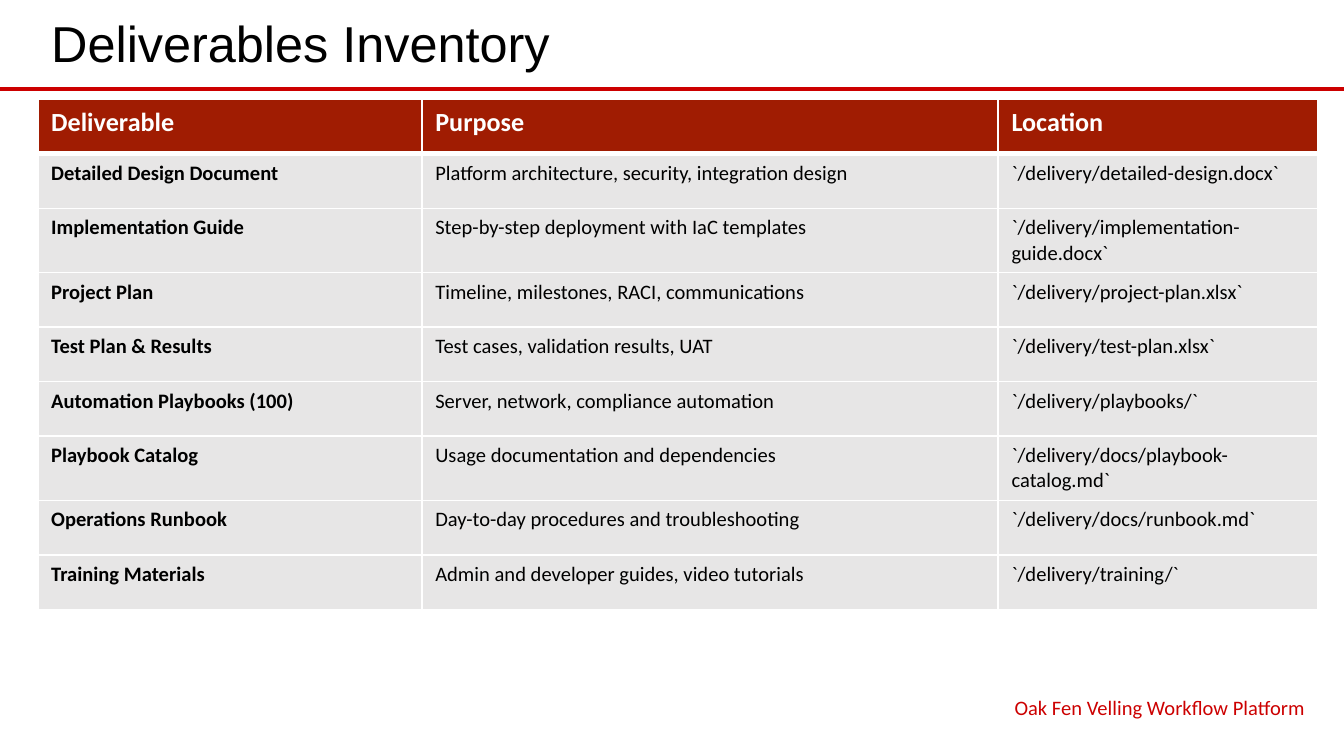
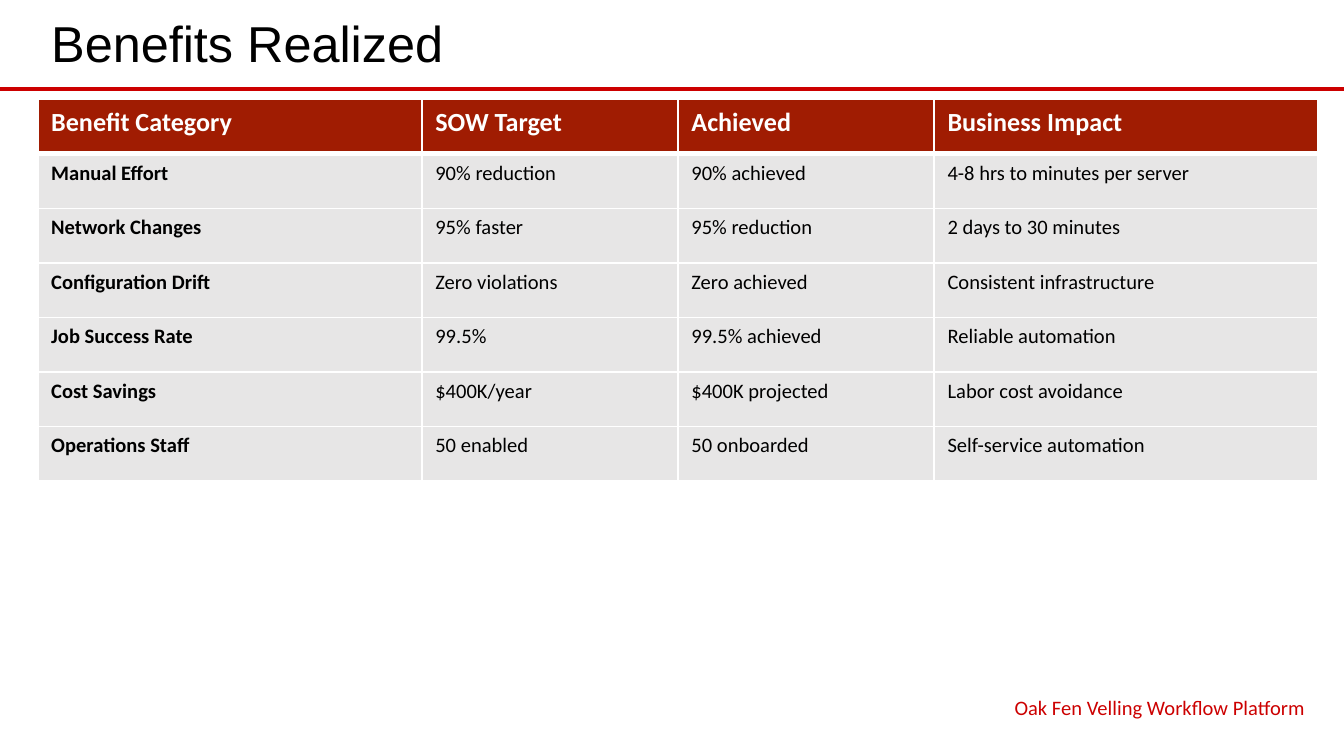
import pptx
import pptx.dml.color
import pptx.enum.shapes
import pptx.enum.text
import pptx.oxml
import pptx.oxml.ns
import pptx.util

Pt = pptx.util.Pt
RGBColor = pptx.dml.color.RGBColor
Anchor = pptx.enum.text.MSO_ANCHOR
Align = pptx.enum.text.PP_ALIGN

RED = RGBColor(0xCC, 0x00, 0x00)
BRICK = RGBColor(0xA0, 0x1C, 0x02)
GREY = RGBColor(0xE7, 0xE6, 0xE6)
BLACK = RGBColor(0, 0, 0)
WHITE = RGBColor(0xFF, 0xFF, 0xFF)

FOOTER = "Oak Fen Velling Workflow Platform"
PAGES = [
    {
        "title": "Deliverables Inventory",
        "shares": (30, 45, 25),
        "rows": [
            ("Deliverable", "Purpose", "Location"),
            ("Detailed Design Document", "Platform architecture, security, integration design",
             "`/delivery/detailed-design.docx`"),
            ("Implementation Guide", "Step-by-step deployment with IaC templates",
             "`/delivery/implementation-guide.docx`"),
            ("Project Plan", "Timeline, milestones, RACI, communications",
             "`/delivery/project-plan.xlsx`"),
            ("Test Plan & Results", "Test cases, validation results, UAT",
             "`/delivery/test-plan.xlsx`"),
            ("Automation Playbooks (100)", "Server, network, compliance automation",
             "`/delivery/playbooks/`"),
            ("Playbook Catalog", "Usage documentation and dependencies",
             "`/delivery/docs/playbook-catalog.md`"),
            ("Operations Runbook", "Day-to-day procedures and troubleshooting",
             "`/delivery/docs/runbook.md`"),
            ("Training Materials", "Admin and developer guides, video tutorials",
             "`/delivery/training/`"),
        ],
    },
    {
        "title": "Benefits Realized",
        "shares": (30, 20, 20, 30),
        "rows": [
            ("Benefit Category", "SOW Target", "Achieved", "Business Impact"),
            ("Manual Effort", "90% reduction", "90% achieved", "4-8 hrs to minutes per server"),
            ("Network Changes", "95% faster", "95% reduction", "2 days to 30 minutes"),
            ("Configuration Drift", "Zero violations", "Zero achieved", "Consistent infrastructure"),
            ("Job Success Rate", "99.5%", "99.5% achieved", "Reliable automation"),
            ("Cost Savings", "$400K/year", "$400K projected", "Labor cost avoidance"),
            ("Operations Staff", "50 enabled", "50 onboarded", "Self-service automation"),
        ],
    },
]

PAGE_WIDTH, PAGE_HEIGHT = 720, 405
LEFT, WIDTH = 20.2, 686
RULE_TOP = 47.5
TABLE_TOP, ROW_HEIGHT = 53.3, 29.2
TITLE_BOX = (LEFT, 2, WIDTH, 41.5)
FOOTER_BOX = (453, 368.5, 253.3, 19)

TITLE_FONT = {"name": "Arial", "size": Pt(27), "bold": False}
FOOTER_FONT = {"name": "Calibri", "size": Pt(11)}
HEAD_FONT = {"name": "Calibri", "size": Pt(14), "bold": True}
CELL_FONT = {"name": "Calibri", "size": Pt(11)}


def write(frame, text, font, color, align=Align.LEFT, bullet_free=False):
    para = frame.paragraphs[0]
    para.alignment = align
    para.space_before = Pt(0)
    if bullet_free:
        properties = para._p.get_or_add_pPr()
        properties.append(pptx.oxml.parse_xml(f'<a:buNone {pptx.oxml.ns.nsdecls("a")}/>'))
    span = para.add_run()
    span.text = text
    for name, value in font.items():
        setattr(span.font, name, value)
    span.font.color.rgb = color


def fill_placeholder(box, place, anchor, *text_format):
    box.left, box.top, box.width, box.height = (Pt(length) for length in place)
    frame = box.text_frame
    frame.word_wrap = True
    frame.auto_size = pptx.enum.text.MSO_AUTO_SIZE.NONE
    frame.vertical_anchor = anchor
    write(frame, *text_format)


def add_borders(cell, widths):
    properties = cell._tc.get_or_add_tcPr()
    for side, width in widths.items():
        properties.append(pptx.oxml.parse_xml(
            f'<a:ln{side} {pptx.oxml.ns.nsdecls("a")} w="{Pt(width)}">'
            f'<a:solidFill><a:srgbClr val="{WHITE}"/></a:solidFill></a:ln{side}>'))


def add_table(page, rows, shares):
    table = page.shapes.add_table(len(rows), len(shares), Pt(LEFT), Pt(TABLE_TOP), Pt(WIDTH),
                                  Pt(ROW_HEIGHT * len(rows))).table
    table.horz_banding = False
    for column, share in zip(table.columns, shares):
        column.width = Pt(WIDTH * share / 100)
    for row_index, texts in enumerate(rows):
        table.rows[row_index].height = Pt(ROW_HEIGHT)
        head = row_index == 0
        borders = {"L": 1, "R": 1, "T": 3 if row_index == 1 else 1, "B": 3 if head else 1}
        for column_index, text in enumerate(texts):
            cell = table.cell(row_index, column_index)
            add_borders(cell, borders)
            cell.fill.solid()
            cell.fill.fore_color.rgb = BRICK if head else GREY
            font = HEAD_FONT if head else {**CELL_FONT, "bold": column_index == 0}
            write(cell.text_frame, text, font, WHITE if head else BLACK)


def add_layout_rule(layout, page):
    rule = page.shapes.add_connector(pptx.enum.shapes.MSO_CONNECTOR.STRAIGHT,
                                     0, Pt(RULE_TOP), Pt(PAGE_WIDTH), Pt(RULE_TOP))
    rule.line.color.rgb = RED
    rule.line.width = Pt(2.25)
    rule.element.spPr.append(pptx.oxml.parse_xml(f'<a:effectLst {pptx.oxml.ns.nsdecls("a")}/>'))
    layout.shapes.element.append(rule.element)


def main():
    deck = pptx.Presentation()
    deck.slide_width, deck.slide_height = Pt(PAGE_WIDTH), Pt(PAGE_HEIGHT)
    layout = deck.slide_layouts[1]
    for content in PAGES:
        page = deck.slides.add_slide(layout)
        fill_placeholder(page.shapes.title, TITLE_BOX, Anchor.MIDDLE,
                         content["title"], TITLE_FONT, BLACK)
        fill_placeholder(page.placeholders[1], FOOTER_BOX, Anchor.TOP,
                         FOOTER, FOOTER_FONT, RED, Align.RIGHT, True)
        add_table(page, content["rows"], content["shares"])
    add_layout_rule(layout, deck.slides[0])
    deck.save("out.pptx")


if __name__ == "__main__":
    main()
